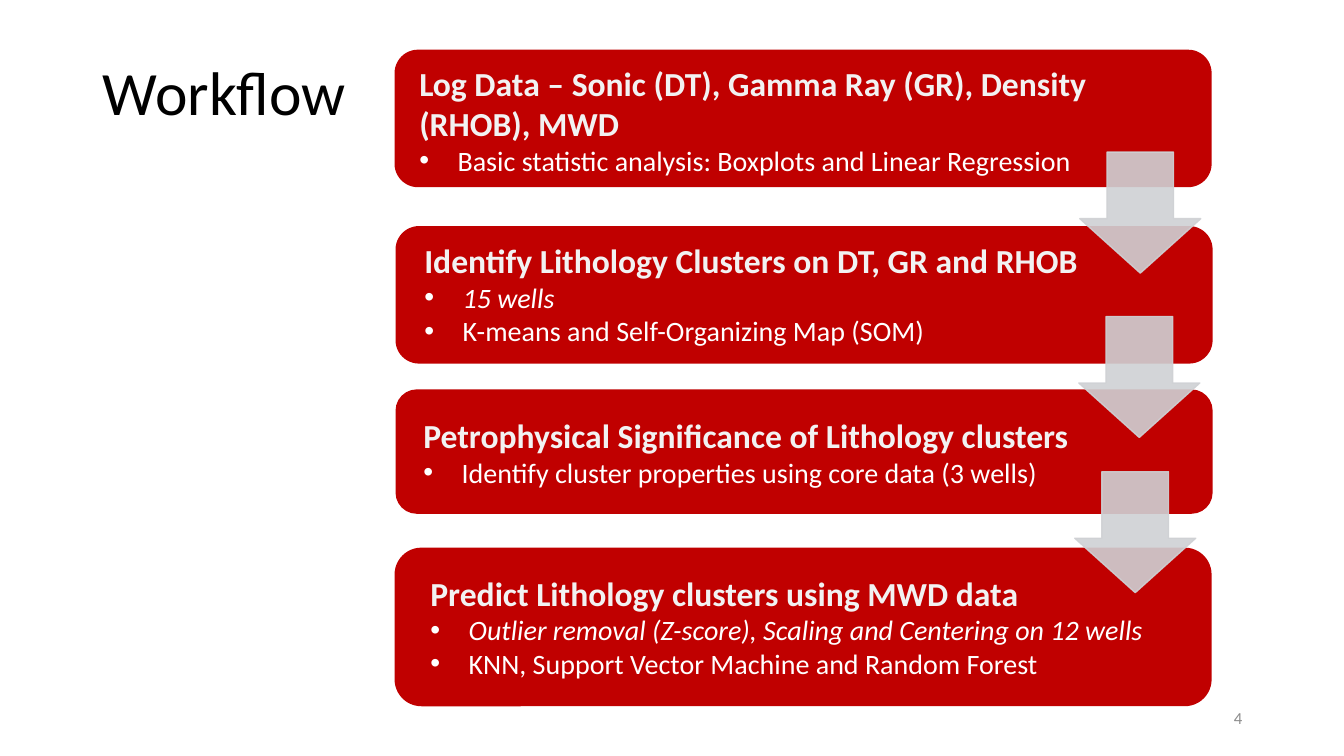
from pptx import Presentation
from pptx.dml.color import RGBColor
from pptx.enum.shapes import MSO_SHAPE
from pptx.enum.text import MSO_ANCHOR, MSO_AUTO_SIZE, PP_ALIGN
from pptx.oxml.ns import qn
from pptx.util import Pt
from lxml import etree

PX = 9144  # EMU per px, 100 px to the inch
ROUND_RECT, DOWN_ARROW = MSO_SHAPE.ROUNDED_RECTANGLE, MSO_SHAPE.DOWN_ARROW
MIDDLE, FIT_SHAPE = MSO_ANCHOR.MIDDLE, MSO_AUTO_SIZE.SHAPE_TO_FIT_TEXT
LEFT, RIGHT = PP_ALIGN.LEFT, PP_ALIGN.RIGHT
THEME = {
    "font": "Calibri",
    "black": "000000", "white": "FFFFFF", "heading": "F2F2F2",
    "red": "C00000", "arrow": "CFD1D4", "grey": "8C8C8C",
    "title_size": 44, "heading_size": 24, "bullet_size": 20, "number_size": 12,
}


def write(p, text, size, color, bold=False, italic=False, bullet=False, align=LEFT):
    p.alignment = align
    r = p.add_run()
    r.text = text
    r.font.name = THEME["font"]
    r.font.size = Pt(THEME[size])
    r.font.color.rgb = RGBColor.from_string(THEME[color])
    r.font.bold, r.font.italic = bold, italic
    if bullet:
        pPr = p._p.get_or_add_pPr()
        pPr.set("marL", str(38 * PX))
        pPr.set("indent", str(-38 * PX))
        etree.SubElement(pPr, qn("a:buFont")).set("typeface", "Arial")
        etree.SubElement(pPr, qn("a:buChar")).set("char", "•")


def add_block(s, kind, box, color):
    sp = s.shapes.add_shape(kind, *(v * PX for v in box))
    sp.shadow.inherit = False
    sp.fill.solid()
    sp.fill.fore_color.rgb = sp.line.color.rgb = RGBColor.from_string(THEME[color])
    sp.line.width = Pt(1)
    return sp


prs = Presentation()
prs.slide_width, prs.slide_height = 1333 * PX, 750 * PX
s = prs.slides.add_slide(prs.slide_layouts[5])

# Title
title = s.shapes.title
title.left, title.top, title.width, title.height = (v * PX for v in (92, 22, 1150, 145))
title.text_frame.vertical_anchor = MIDDLE
p = title.text_frame.paragraphs[0]
p.line_spacing = 0.9
write(p, "Workflow", "title_size", "black")

# Workflow steps: box (left, top, height), text (left, top, height), heading, bullets with italic flag
steps = [
    ((392, 50, 135), (406, 57, 125),
     "Log Data – Sonic (DT), Gamma Ray (GR), Density (RHOB), MWD",
     [("Basic statistic analysis: Boxplots and Linear Regression", False)]),
    ((393, 225, 135), (411, 233, 118),
     "Identify Lithology Clusters on DT, GR and RHOB",
     [("15 wells", True), ("K-means and Self-Organizing Map (SOM)", False)]),
    ((393, 387, 122), (410, 407, 84),
     "Petrophysical Significance of Lithology clusters",
     [("Identify cluster properties using core data (3 wells)", False)]),
    ((392, 544, 156), (417, 563, 118),
     "Predict Lithology clusters using MWD data",
     [("Outlier removal (Z-score), Scaling and Centering on 12 wells", True),
      ("KNN, Support Vector Machine and Random Forest", False)]),
]
for (left, top, height), (tx_left, tx_top, tx_height), heading, bullets in steps:
    add_block(s, ROUND_RECT, (left, top, 809, height), "red")
    tb = s.shapes.add_textbox(tx_left * PX, tx_top * PX, 758 * PX, tx_height * PX)
    tf = tb.text_frame
    tf.word_wrap = True
    tf.auto_size = FIT_SHAPE
    write(tf.paragraphs[0], heading, "heading_size", "heading", bold=True)
    for text, italic in bullets:
        write(tf.add_paragraph(), text, "bullet_size", "white", italic=italic, bullet=True)

# Arrows from each step to the next
for left, top in [(1071, 151), (1070, 314), (1066, 468)]:
    arrow = add_block(s, DOWN_ARROW, (left, top, 120, 120), "arrow")
    arrow.adjustments[0], arrow.adjustments[1] = 0.55, 0.45
    for color in arrow._element.spPr.iter(qn("a:srgbClr")):
        etree.SubElement(color, qn("a:alpha")).set("val", "90000")

# Slide number
tf = s.shapes.add_textbox(942 * PX, 692 * PX, 300 * PX, 40 * PX).text_frame
tf.word_wrap = True
tf.vertical_anchor = MIDDLE
write(tf.paragraphs[0], "4", "number_size", "grey", align=RIGHT)

prs.save("out.pptx")
